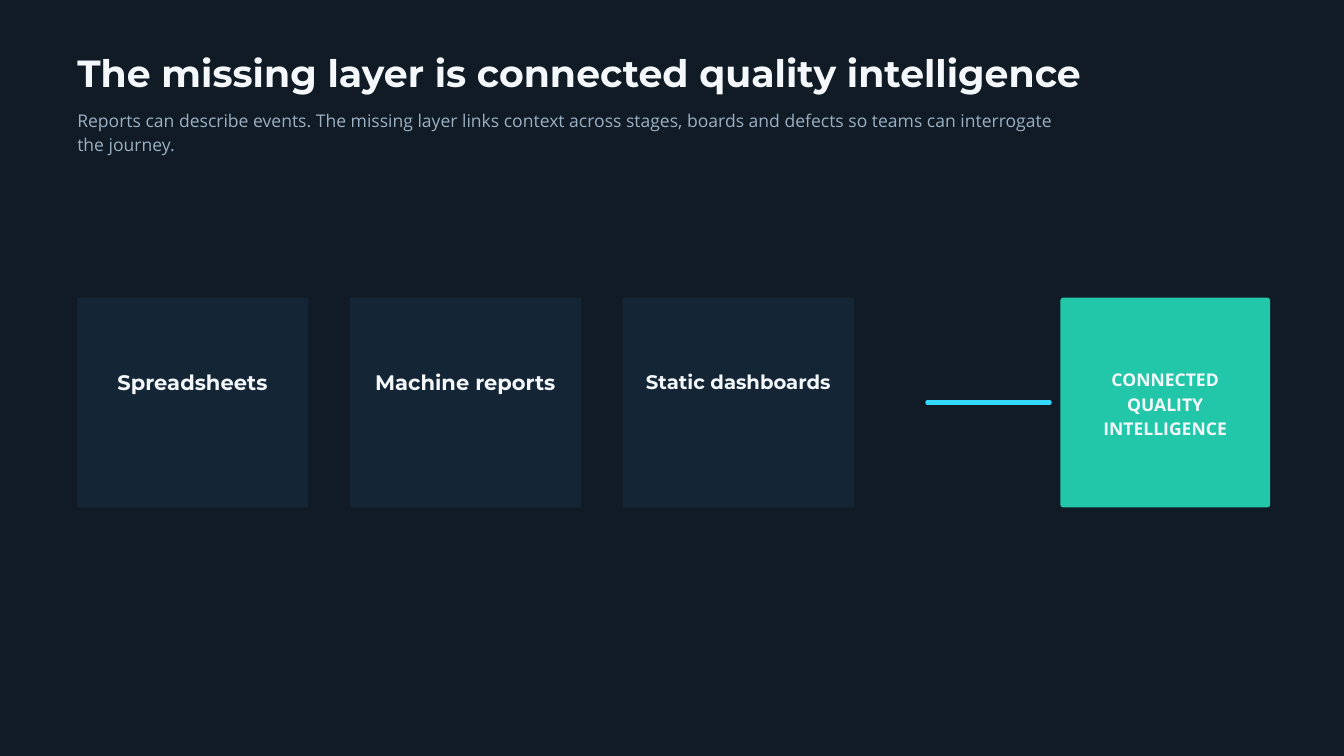
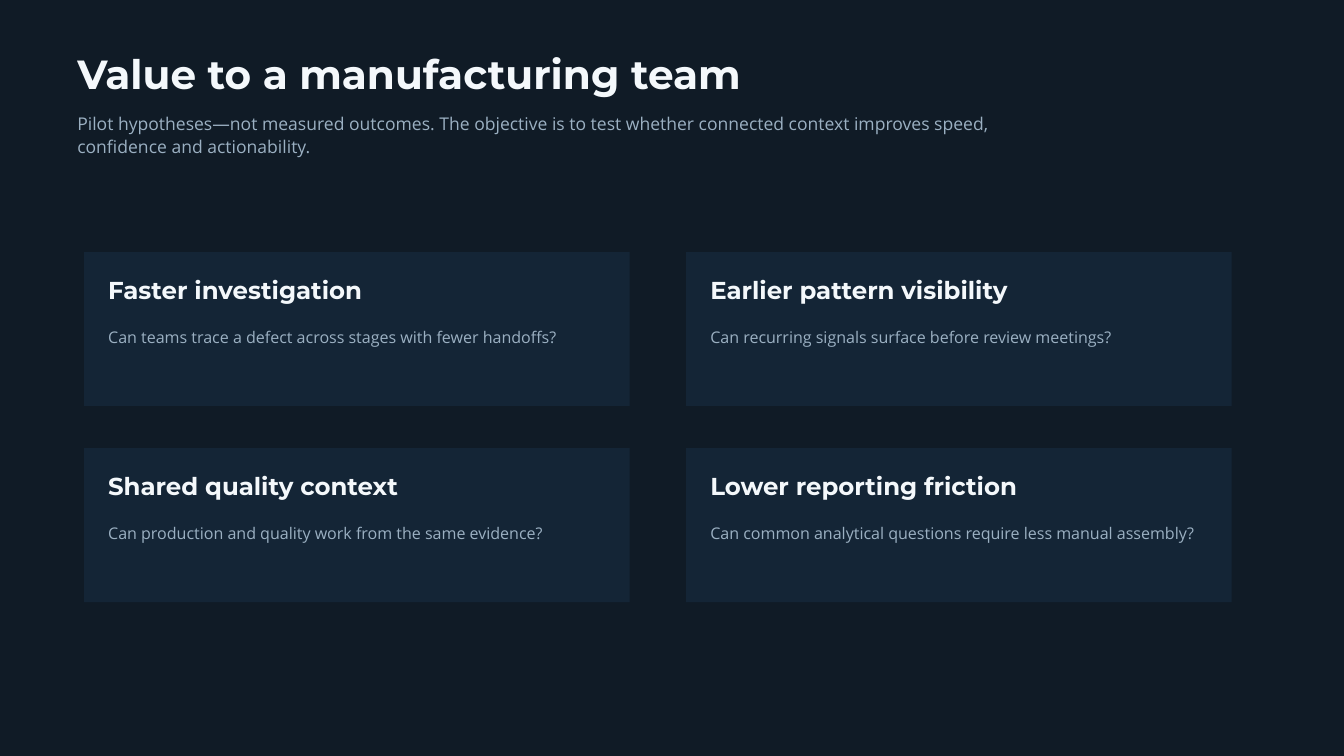
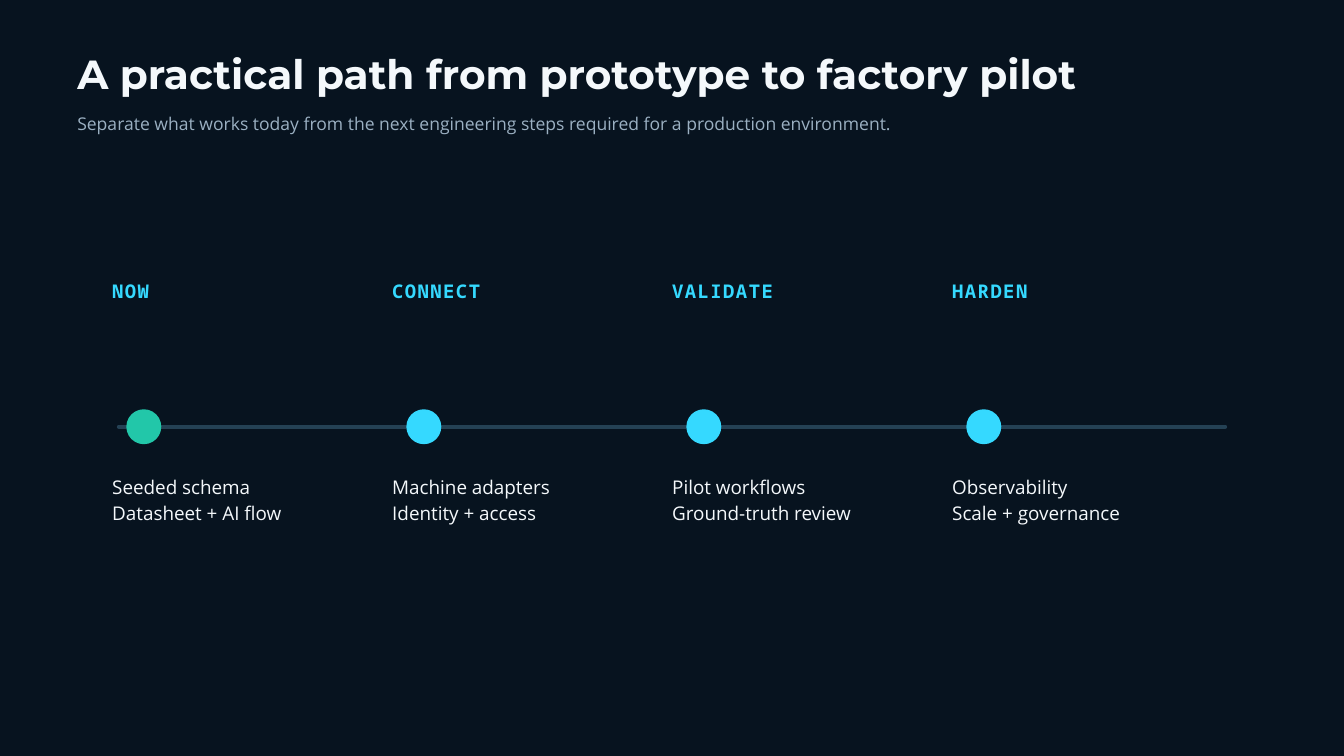
"""Build three slides on connected quality intelligence."""
from lxml import etree
from pptx import Presentation
from pptx.dml.color import RGBColor
from pptx.enum.shapes import MSO_CONNECTOR, MSO_SHAPE
from pptx.enum.text import MSO_ANCHOR, MSO_AUTO_SIZE, PP_ALIGN
from pptx.oxml.ns import qn
from pptx.util import Inches, Pt

STRAIGHT = MSO_CONNECTOR.STRAIGHT
RECTANGLE, ROUNDED, OVAL = MSO_SHAPE.RECTANGLE, MSO_SHAPE.ROUNDED_RECTANGLE, MSO_SHAPE.OVAL
TOP, MIDDLE = MSO_ANCHOR.TOP, MSO_ANCHOR.MIDDLE
LEFT, CENTER = PP_ALIGN.LEFT, PP_ALIGN.CENTER
NO_RESIZE = MSO_AUTO_SIZE.NONE

COLORS = {
    "slate": "101B26", "night": "07131F", "card": "142536", "white": "F4F8FB",
    "muted": "9BB0C2", "cyan": "35D9FF", "green": "22C7A9", "track": "244154",
}
HEADING, BODY, MONO = "Montserrat", "Open Sans", "Noto Sans Mono"


def write_text(box, lines, font, size, leading, color="white", bold=False,
               align=LEFT, anchor=TOP, inset=0, tracking=0):
    frame = box.text_frame
    frame.word_wrap = True
    frame.auto_size = NO_RESIZE
    frame.vertical_anchor = anchor
    frame.margin_left = frame.margin_right = Inches(inset)
    frame.margin_top = frame.margin_bottom = Inches(inset)
    for index, line in enumerate(lines):
        para = frame.add_paragraph() if index else frame.paragraphs[0]
        para.alignment = align
        para.line_spacing = Pt(leading)
        span = para.add_run()
        span.text = line
        span.font.name = font
        span.font.size = Pt(size)
        span.font.bold = bold
        span.font.color.rgb = RGBColor.from_string(COLORS[color])
        if tracking:
            span.font._element.set("spc", str(round(tracking * 100)))


def add_block(page, preset, left, top, width, height, color):
    block = page.shapes.add_shape(preset, Inches(left), Inches(top), Inches(width), Inches(height))
    block.shadow.inherit = False
    block.fill.solid()
    block.fill.fore_color.rgb = RGBColor.from_string(COLORS[color])
    block.line.fill.background()
    return block


deck = Presentation()
deck.slide_width, deck.slide_height = Inches(20), Inches(11.25)

headers = [
    ("slate", 40.5, 42.5, 0.59, 1.6, "The missing layer is connected quality intelligence",
     "Reports can describe events. The missing layer links context across stages, "
     "boards and defects so teams can interrogate the journey."),
    ("slate", 43.5, 45.7, 0.64, 1.64, "Value to a manufacturing team",
     "Pilot hypotheses—not measured outcomes. The objective is to test whether "
     "connected context improves speed, confidence and actionability."),
    ("night", 43.5, 45.7, 0.64, 1.64, "A practical path from prototype to factory pilot",
     "Separate what works today from the next engineering steps required for a "
     "production environment."),
]
pages = []
for background, size, leading, height, subtitle_top, heading, subtitle in headers:
    page = deck.slides.add_slide(deck.slide_layouts[5])
    page.background.fill.solid()
    page.background.fill.fore_color.rgb = RGBColor.from_string(COLORS[background])
    title = page.shapes.title
    title.left, title.top = Inches(1.15), Inches(0.82)
    title.width, title.height = Inches(15.62), Inches(height)
    write_text(title, [heading], HEADING, size, leading, bold=True)
    box = page.shapes.add_textbox(Inches(1.15), Inches(subtitle_top), Inches(14.58), Inches(0.68))
    write_text(box, [subtitle], BODY, 18.8, 25.3, "muted")
    pages.append(page)
layer_page, value_page, path_page = pages

for page, start, end, height, color in [
    (layer_page, 13.8, 15.62, 5.99, "cyan"),
    (path_page, 1.77, 18.23, 6.35, "track"),
]:
    line = page.shapes.add_connector(STRAIGHT, Inches(start), Inches(height), Inches(end), Inches(height))
    line.line.width = Pt(4.5)
    line.line.color.rgb = RGBColor.from_string(COLORS[color])
    line.line._get_or_add_ln().set("cap", "rnd")
    etree.SubElement(line._element.spPr, qn("a:effectLst"))

sources = [("Spreadsheets", 22.5, 23.6), ("Machine reports", 22.5, 23.6), ("Static dashboards", 21, 22.1)]
for index, (source, size, leading) in enumerate(sources):
    left = 1.15 + index * 4.06
    add_block(layer_page, RECTANGLE, left, 4.43, 3.44, 3.12, "card")
    box = layer_page.shapes.add_textbox(Inches(left + 0.31), Inches(5.54), Inches(2.81), Inches(0.35))
    write_text(box, [source], HEADING, size, leading, bold=True, align=CENTER)

target = add_block(layer_page, ROUNDED, 15.78, 4.43, 3.12, 3.12, "green")
target.adjustments[0] = 0.013
write_text(target, ["CONNECTED", "QUALITY INTELLIGENCE"], BODY, 18.8, 26.2,
           bold=True, align=CENTER, anchor=MIDDLE, inset=0.06)

values = [
    ("Faster investigation", "Can teams trace a defect across stages with fewer handoffs?"),
    ("Earlier pattern visibility", "Can recurring signals surface before review meetings?"),
    ("Shared quality context", "Can production and quality work from the same evidence?"),
    ("Lower reporting friction", "Can common analytical questions require less manual assembly?"),
]
for index, (value, question) in enumerate(values):
    row, column = divmod(index, 2)
    left, top = 1.25 + column * 8.96, 3.75 + row * 2.92
    add_block(value_page, RECTANGLE, left, top, 8.12, 2.29, "card")
    box = value_page.shapes.add_textbox(Inches(left + 0.36), Inches(top + 0.4), Inches(7.29), Inches(0.4))
    write_text(box, [value], HEADING, 26.2, 27.6, bold=True)
    box = value_page.shapes.add_textbox(Inches(left + 0.36), Inches(top + 1.08), Inches(7.29), Inches(0.3))
    write_text(box, [question], BODY, 17.2, 23.3, "muted")

stages = [
    ("NOW", "green", ["Seeded schema", "Datasheet + AI flow"]),
    ("CONNECT", "cyan", ["Machine adapters", "Identity + access"]),
    ("VALIDATE", "cyan", ["Pilot workflows", "Ground-truth review"]),
    ("HARDEN", "cyan", ["Observability", "Scale + governance"]),
]
for index, (stage, color, steps) in enumerate(stages):
    left = 1.67 + index * 12.5 / 3
    add_block(path_page, OVAL, left + 0.21, 6.09, 0.52, 0.52, color)
    box = path_page.shapes.add_textbox(Inches(left), Inches(4.11), Inches(2.92), Inches(0.38))
    write_text(box, [stage], MONO, 20.2, 28.4, "cyan", bold=True, tracking=1.6)
    box = path_page.shapes.add_textbox(Inches(left), Inches(7.04), Inches(3.12), Inches(0.75))
    write_text(box, steps, BODY, 20.2, 27.3)

deck.save("out.pptx")
